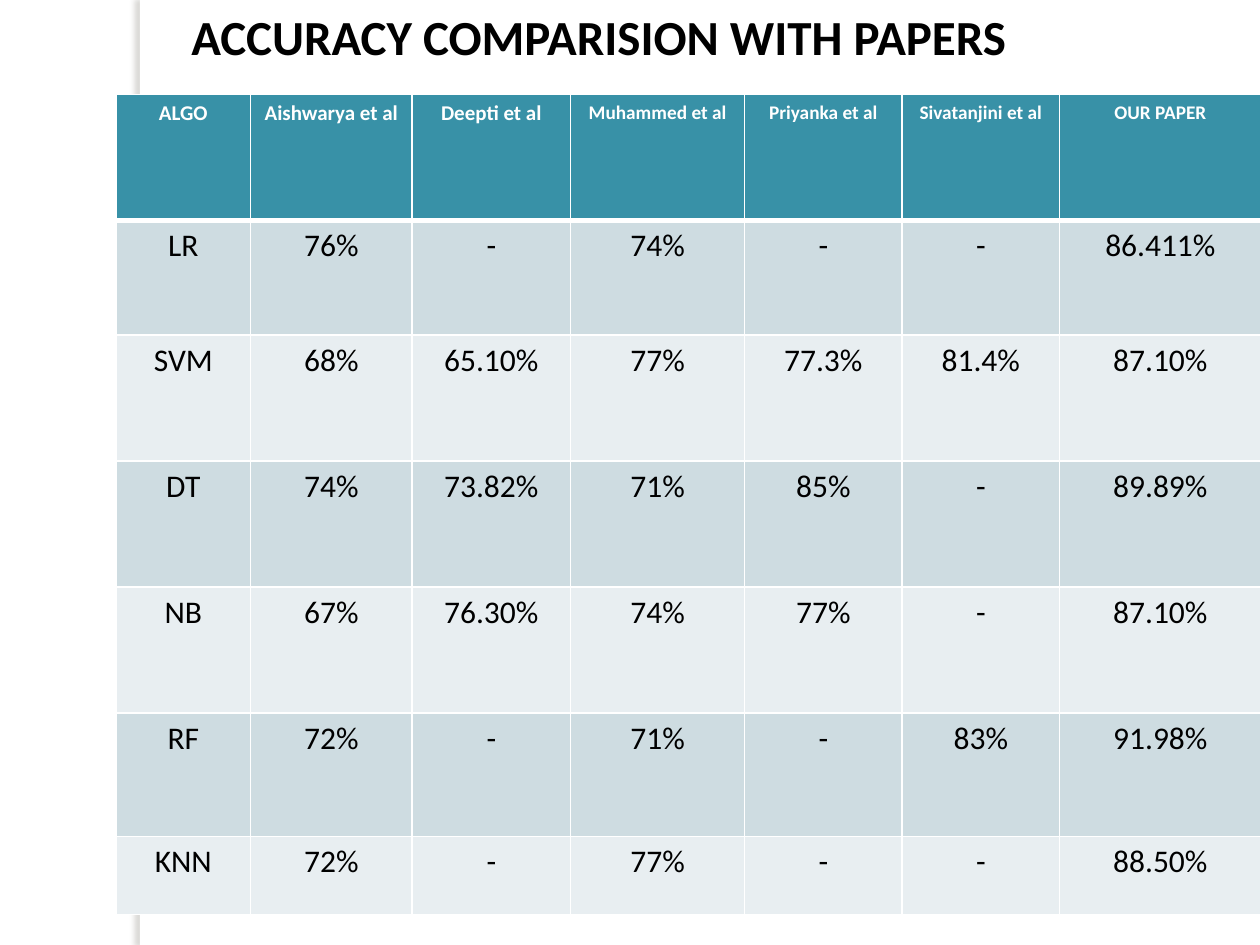
from dataclasses import dataclass

from lxml import etree
from pptx import Presentation
from pptx import util as u
from pptx.dml import color
from pptx.enum import shapes, text
from pptx.oxml import ns


@dataclass(frozen=True)
class Theme:
    font: str = "Calibri"
    white: str = "FFFFFF"
    black: str = "000000"
    head: str = "3891A7"
    bands: tuple = ("CEDCE1", "E8EEF1")
    shade: str = "736F63"
    title: int = 28
    body: int = 18
    label: int = 12
    small: int = 11


T = Theme()
COLS = [1.07, 1.28, 1.26, 1.38, 1.25, 1.25, 1.6]
ROWS = [1, 0.91, 1, 1, 1, 0.98, 0.62]
DATA = [
    ["ALGO", "Aishwarya et al", "Deepti et al", "Muhammed et al",
     "Priyanka et al", "Sivatanjini et al", "OUR PAPER"],
    ["LR", "76%", "-", "74%", "-", "-", "86.411%"],
    ["SVM", "68%", "65.10%", "77%", "77.3%", "81.4%", "87.10%"],
    ["DT", "74%", "73.82%", "71%", "85%", "-", "89.89%"],
    ["NB", "67%", "76.30%", "74%", "77%", "-", "87.10%"],
    ["RF", "72%", "-", "71%", "-", "83%", "91.98%"],
    ["KNN", "72%", "-", "77%", "-", "-", "88.50%"],
]


def rgb(code):
    return color.RGBColor.from_string(code)


def inches(box):
    return [u.Inches(v) for v in box]


def node(up, tag, **attrs):
    item = etree.SubElement(up, ns.qn(tag))
    for key, val in attrs.items():
        item.set(key, str(val))
    return item


def write(para, words, tint, **form):
    run = para.add_run()
    run.text = words
    for key, val in {"name": T.font, **form}.items():
        setattr(run.font, key, val)
    run.font.color.rgb = rgb(tint)


def add_bar(slide, box):
    """White side bar that casts a soft shadow to the left."""
    bar = slide.shapes.add_shape(shapes.MSO_SHAPE.RECTANGLE, *inches(box))
    bar.fill.solid()
    bar.fill.fore_color.rgb = rgb(T.white)
    bar.line.fill.background()
    bar.shadow.inherit = False
    glow = bar._element.spPr.find(ns.qn("a:effectLst"))
    cast = node(glow, "a:outerShdw", blurRad=u.Pt(3), dist=u.Pt(3),
                dir=180 * 60000, algn="tl", rotWithShape=0)
    node(node(cast, "a:srgbClr", val=T.shade), "a:alpha", val=25000)


def edge(cell, sides):
    """Draw white cell borders, widths in points by side."""
    props = cell._tc.get_or_add_tcPr()
    for side, wide in sides.items():
        line = node(props, f"a:ln{side}", w=u.Pt(wide))
        node(node(line, "a:solidFill"), "a:srgbClr", val=T.white)


def add_grid(slide, box):
    """Accuracy table: header row, then banded rows."""
    grid = slide.shapes.add_table(len(ROWS), len(COLS), *inches(box)).table
    for col, wide in zip(grid.columns, COLS):
        col.width = u.Inches(wide)
    for r, (row, high, line) in enumerate(zip(grid.rows, ROWS, DATA)):
        row.height = u.Inches(high)
        top = r == 0
        for c, words in enumerate(line):
            cell = grid.cell(r, c)
            edge(cell, {"L": 1, "R": 1, "T": 3 if r == 1 else 1,
                        "B": 3 if top else 1})
            cell.fill.solid()
            cell.fill.fore_color.rgb = rgb(T.head if top else T.bands[(r - 1) % 2])
            para = cell.text_frame.paragraphs[0]
            para.alignment = text.PP_ALIGN.CENTER
            label = T.label if c < 3 else T.small
            write(para, words, T.white if top else T.black, bold=top,
                  size=u.Pt(label if top else T.body))


def add_title(slide, box):
    frame = slide.shapes.add_textbox(*inches(box)).text_frame
    frame.word_wrap = True
    frame.auto_size = text.MSO_AUTO_SIZE.SHAPE_TO_FIT_TEXT
    write(frame.paragraphs[0], "ACCURACY COMPARISION WITH PAPERS", T.black,
          size=u.Pt(T.title), bold=True)


def main():
    deck = Presentation()
    deck.slide_width, deck.slide_height = inches((10, 7.5))
    slide = deck.slides.add_slide(deck.slide_layouts[6])
    add_bar(slide, (1.11, 0, 0.08, 7.5))
    add_grid(slide, (0.92, 0.75, sum(COLS), sum(ROWS)))
    add_title(slide, (1.42, 0, 9.17, 0.57))
    deck.save("out.pptx")


if __name__ == "__main__":
    main()
